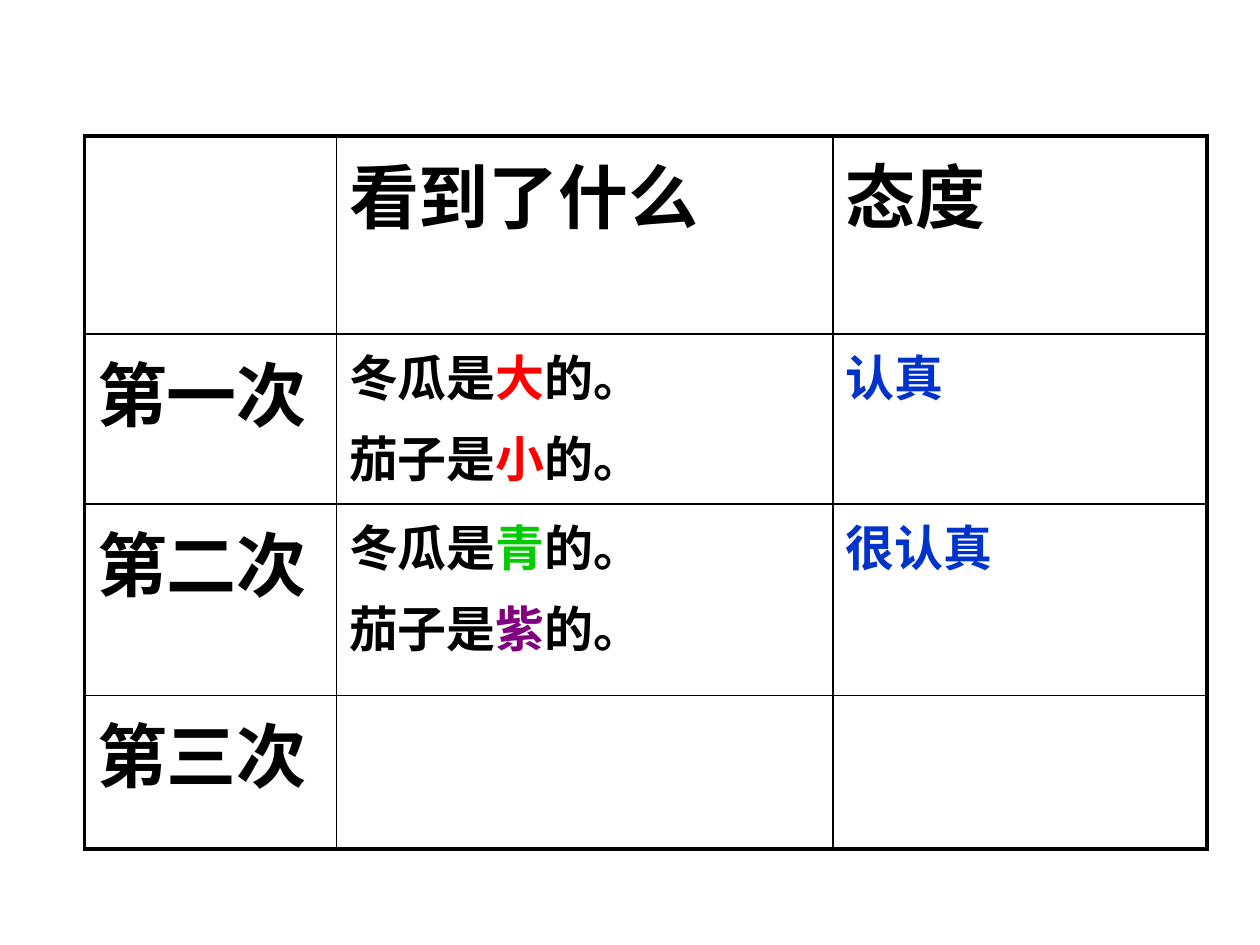
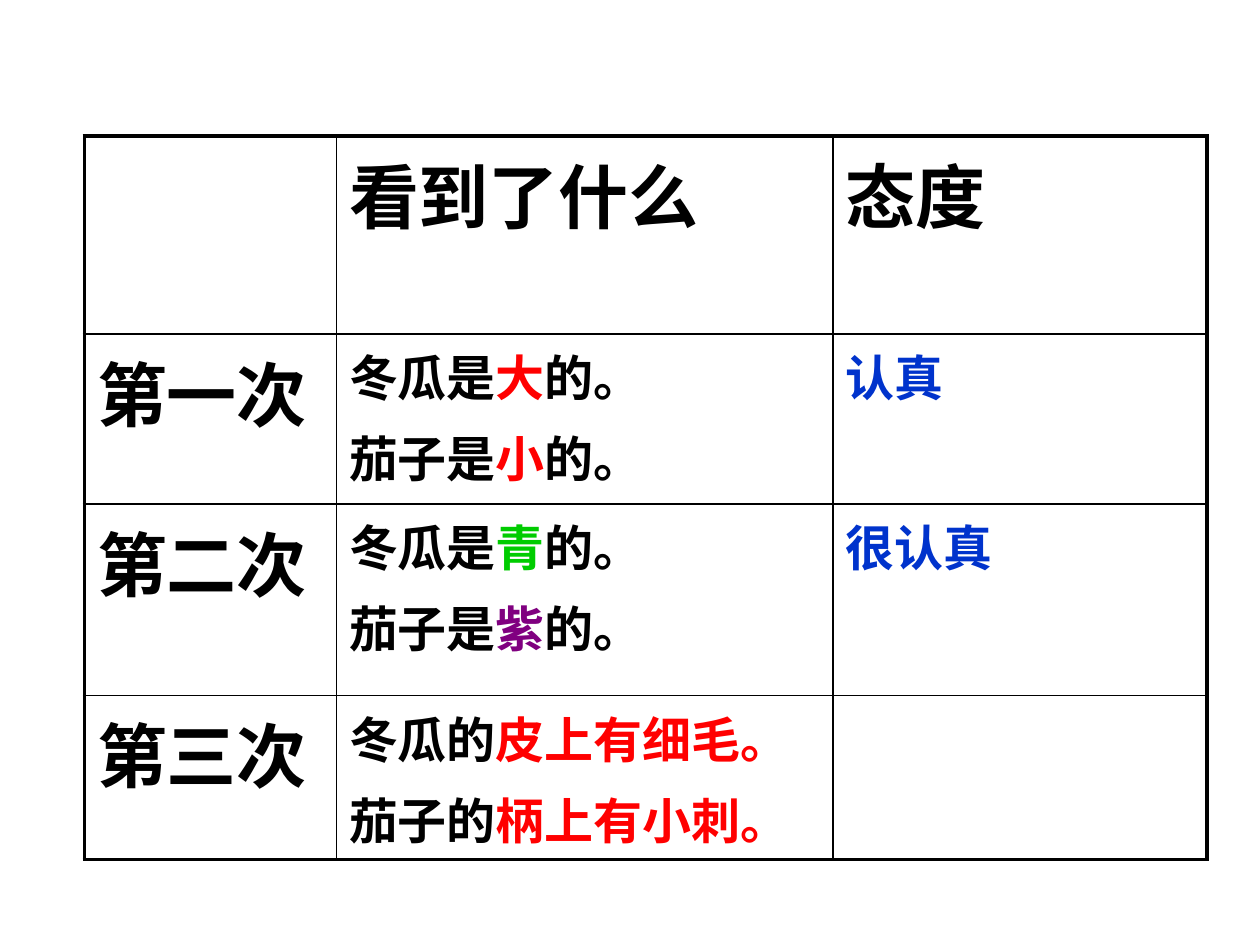
from lxml import etree
from pptx import Presentation
from pptx import util as u
from pptx.dml import color
from pptx.enum import lang
from pptx.oxml import ns

BLACK, RED, GREEN, PURPLE, BLUE = "000000", "FF0000", "00CC00", "800080", "0033CC"
FONT = "Times New Roman"
HEADING_SIZE, BODY_SIZE = 40, 28
OUTER_LINE, INNER_LINE = 2.25, 1

LEFT, TOP = 0.67, 1.08
COLUMNS = (2, 3.94, 2.97)
ROWS = (1.57, 1.35, 1.52, 1.22)

HEADINGS = ("", "看到了什么", "态度")
FIRST_LOOK = [
    [("冬瓜是", BLACK), ("大", RED), ("的。", BLACK)],
    [("茄子是", BLACK), ("小", RED), ("的。", BLACK)],
]
SECOND_LOOK = [
    [("冬瓜是", BLACK), ("青", GREEN), ("的。", BLACK)],
    [("茄子是", BLACK), ("紫", PURPLE), ("的。", BLACK)],
]
THIRD_LOOK = [
    [("冬瓜的", BLACK), ("皮上有细毛。", RED)],
    [("茄子的", BLACK), ("柄上有小刺。", RED)],
]
SLIDES = [
    [
        ("第一次", FIRST_LOOK, "认真"),
        ("第二次", SECOND_LOOK, "很认真"),
        ("第三次", third_look, ""),
    ]
    for third_look in ([], THIRD_LOOK)
]


def rgb(value):
    return color.RGBColor.from_string(value)


def line_of(text, tint):
    return [[(text, tint)]] if text else []


def write(cell, lines, size):
    frame = cell.text_frame
    for number, line in enumerate(lines):
        para = frame.add_paragraph() if number else frame.paragraphs[0]
        before = etree.SubElement(para._p.get_or_add_pPr(), ns.qn("a:spcBef"))
        etree.SubElement(before, ns.qn("a:spcPct"), val="20000")
        for words, tint in line:
            span = para.add_run()
            span.text = words
            span.font.name = FONT
            span.font.size = u.Pt(size)
            span.font.bold = True
            span.font.color.rgb = rgb(tint)
            span.font.language_id = lang.MSO_LANGUAGE_ID.SIMPLIFIED_CHINESE


def draw_borders(cell, row, column):
    on_edge = {
        "lnL": column == 0,
        "lnR": column == len(COLUMNS) - 1,
        "lnT": row == 0,
        "lnB": row == len(ROWS) - 1,
    }
    properties = cell._tc.get_or_add_tcPr()
    for side, outer in on_edge.items():
        width = u.Pt(OUTER_LINE if outer else INNER_LINE)
        border = etree.SubElement(properties, ns.qn(f"a:{side}"), w=str(int(width)))
        fill = etree.SubElement(border, ns.qn("a:solidFill"))
        etree.SubElement(fill, ns.qn("a:srgbClr"), val=BLACK)


def add_observation_table(page, observations):
    table = page.shapes.add_table(
        len(ROWS), len(COLUMNS), u.Inches(LEFT), u.Inches(TOP),
        u.Inches(sum(COLUMNS)), u.Inches(sum(ROWS)),
    ).table
    table.first_row = False
    table.horz_banding = False
    for column, width in zip(table.columns, COLUMNS):
        column.width = u.Inches(width)
    for row, height in zip(table.rows, ROWS):
        row.height = u.Inches(height)

    content = [[line_of(heading, BLACK) for heading in HEADINGS]]
    for time, seen, attitude in observations:
        content.append([line_of(time, BLACK), seen, line_of(attitude, BLUE)])

    for row, cells in enumerate(content):
        for column, lines in enumerate(cells):
            cell = table.cell(row, column)
            is_heading = row == 0 or column == 0
            write(cell, lines, HEADING_SIZE if is_heading else BODY_SIZE)
            draw_borders(cell, row, column)
            cell.fill.background()


def main():
    deck = Presentation()
    deck.slide_width, deck.slide_height = u.Inches(10), u.Inches(7.5)
    for observations in SLIDES:
        page = deck.slides.add_slide(deck.slide_layouts[6])
        add_observation_table(page, observations)
    deck.save("out.pptx")


if __name__ == "__main__":
    main()
